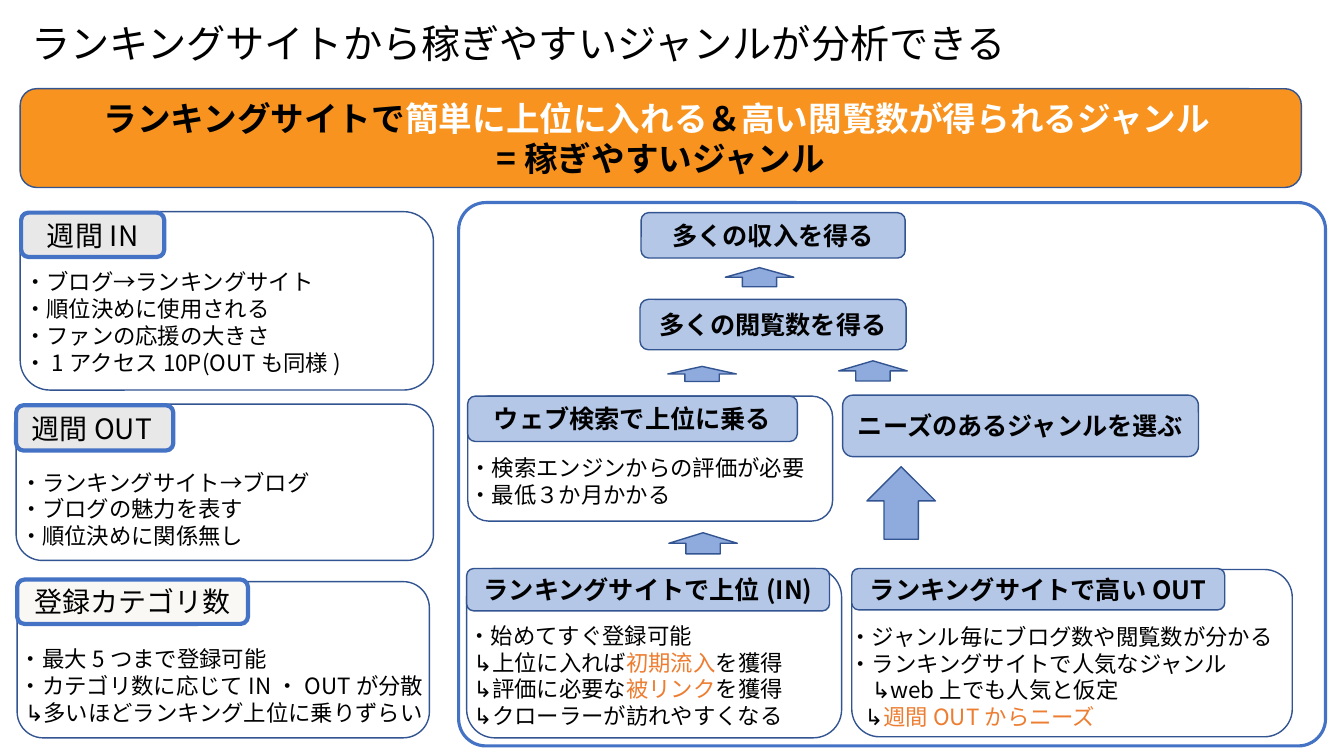
from lxml.etree import SubElement
from pptx import Presentation
from pptx.dml.color import RGBColor
from pptx.enum.shapes import MSO_SHAPE
from pptx.enum.text import MSO_ANCHOR, MSO_AUTO_SIZE, PP_ALIGN
from pptx.oxml.ns import qn
from pptx.util import Inches, Pt

COLORS = {
    "black": "000000", "white": "FFFFFF", "orange": "F7931E", "accent": "ED7D31",
    "line": "325491", "blue": "4472C4", "pale": "B4C7E7", "arrow": "8FAADC",
    "gray": "E9E8E9", "cream": "F9F8F4",
}


class RankingSlide:
    """Draws the elements of one slide on a grid of 80 columns and 45 rows."""

    font_name = "Noto Sans CJK JP"
    columns, rows = 80, 45

    def __init__(self, presentation):
        self.slide = presentation.slides.add_slide(presentation.slide_layouts[6])
        self.column = presentation.slide_width / self.columns
        self.row = presentation.slide_height / self.rows

    def place(self, box):
        left, top, width, height = box
        return (round(left * self.column), round(top * self.row),
                round(width * self.column), round(height * self.row))

    def color(self, name):
        return RGBColor.from_string(COLORS[name])

    def fill_text(self, frame, lines, size, bold=False, align=PP_ALIGN.LEFT):
        frame.word_wrap = True
        for number, (indent, runs) in enumerate(lines):
            paragraph = frame.paragraphs[0] if number == 0 else frame.add_paragraph()
            paragraph.alignment = align
            if indent:
                paragraph._p.get_or_add_pPr().set("marL", str(Pt(indent)))
            for text, color in runs:
                run = paragraph.add_run()
                run.text = text
                run.font.size = Pt(size)
                run.font.bold = bold
                run.font.color.rgb = self.color(color)
                run.font.name = self.font_name
                SubElement(run._r.get_or_add_rPr(), qn("a:ea"), typeface=self.font_name)

    def shape(self, box, fill=None, line="line", weight=1, kind=MSO_SHAPE.ROUNDED_RECTANGLE):
        shape = self.slide.shapes.add_shape(kind, *self.place(box))
        shape.shadow.inherit = False
        if fill:
            shape.fill.solid()
            shape.fill.fore_color.rgb = self.color(fill)
        else:
            shape.fill.background()
        shape.line.color.rgb = self.color(line)
        shape.line.width = Pt(weight)
        return shape

    def label(self, box, lines, size=18, bold=True, **style):
        shape = self.shape(box, **style)
        shape.text_frame.vertical_anchor = MSO_ANCHOR.MIDDLE
        self.fill_text(shape.text_frame, lines, size, bold, PP_ALIGN.CENTER)

    def text(self, box, lines, size=16):
        frame = self.slide.shapes.add_textbox(*self.place(box)).text_frame
        frame.auto_size = MSO_AUTO_SIZE.SHAPE_TO_FIT_TEXT
        self.fill_text(frame, lines, size)

    def arrow(self, left, top, height):
        self.shape((left, top, 4.08, height), "arrow", kind=MSO_SHAPE.UP_ARROW)

    def card(self, frame, tag, heading, notes, lines, **style):
        self.shape(frame)
        self.label(tag, [plain(heading)], **style)
        self.text(notes, lines)


def plain(text, indent=0):
    return indent, [(text, "black")]


def marked(before, key, after):
    return 3.6, [(before, "black"), (key, "accent"), (after, "black")]


def main():
    presentation = Presentation()
    presentation.slide_width = Inches(13.33)
    presentation.slide_height = Inches(7.5)
    page = RankingSlide(presentation)
    weekly = {"size": 20, "bold": False, "line": "blue", "weight": 3}
    flow = {"fill": "pale"}

    page.text((1.26, 0.84, 78, 3.42),
              [plain("ランキングサイトから稼ぎやすいジャンルが分析できる")], 28)

    page.label((1.2, 5.28, 76.26, 5.88), [
        (0, [("ランキングサイトで", "black"), ("簡単に上位に入れる", "white"),
             ("＆", "black"), ("高い閲覧数が得られるジャンル ", "white")]),
        plain("=稼ぎやすいジャンル"),
    ], 24, fill="orange")

    panel = page.shape((27.3, 12.06, 51.6, 32.34), line="blue", weight=2.25)
    panel.adjustments[0] = 0.05

    for box, text in (
        ((38.16, 12.66, 15.72, 2.7), "多くの収入を得る"),
        ((38.1, 17.82, 15.84, 3), "多くの閲覧数を得る"),
        ((50.16, 23.52, 21.18, 3.66), "ニーズのあるジャンルを選ぶ"),
    ):
        page.label(box, [plain(text)], **flow)

    for arrow in ((43.17, 15.93, 1.14), (39.75, 21.81, 0.9), (49.92, 21.48, 1.2),
                  (39.81, 31.71, 1.26), (51.6, 27.78, 4.32)):
        page.arrow(*arrow)

    page.card((27.84, 23.58, 21.72, 7.44), (27.84, 23.58, 19.62, 2.7),
              "ウェブ検索で上位に乗る", (27.36, 26.76, 22.08, 3.84),
              [plain("・検索エンジンからの評価が必要"), plain("・最低３か月かかる")], **flow)
    page.card((27.78, 33.84, 22.32, 10.08), (27.78, 33.84, 21.6, 2.52),
              "ランキングサイトで上位(IN)", (27.3, 36.72, 23.64, 7.08),
              [plain("・始めてすぐ登録可能"),
               marked("↳上位に入れば", "初期流入", "を獲得"),
               marked("↳評価に必要な", "被リンク", "を獲得"),
               plain("↳クローラーが訪れやすくなる", 3.6)], **flow)
    page.card((50.7, 33.9, 26.22, 9.96), (50.7, 33.84, 22.2, 2.46),
              "ランキングサイトで高いOUT", (49.98, 36.78, 26.94, 7.08),
              [plain("・ジャンル毎にブログ数や閲覧数が分かる"),
               plain("・ランキングサイトで人気なジャンル"),
               plain("↳web上でも人気と仮定", 16),
               (10.8, [("↳", "black"), ("週間OUTからニーズ", "accent")])], **flow)

    page.card((1.2, 12.6, 24.6, 10.62), (1.26, 12.66, 8.52, 2.64),
              "週間IN", (0.84, 15.66, 22.08, 7.08),
              [plain("・ブログ→ランキングサイト"), plain("・順位決めに使用される"),
               plain("・ファンの応援の大きさ"), plain("・1アクセス10P(OUTも同様)")],
              fill="gray", **weekly)
    page.card((0.96, 24.06, 24.84, 9.3), (0.96, 24.12, 9.36, 2.7),
              "週間OUT ", (0.6, 27.6, 22.08, 5.46),
              [plain("・ランキングサイト→ブログ"), plain("・ブログの魅力を表す"),
               plain("・順位決めに関係無し")],
              fill="gray", **weekly)
    page.card((1.02, 34.62, 24.54, 9.3), (1.02, 34.5, 13.74, 2.64),
              "登録カテゴリ数", (0.6, 38.1, 25.56, 5.46),
              [plain("・最大5つまで登録可能"), plain("・カテゴリ数に応じてIN・OUTが分散"),
               plain("↳多いほどランキング上位に乗りずらい", 3.6)],
              fill="cream", **weekly)

    presentation.save("out.pptx")


if __name__ == "__main__":
    main()
